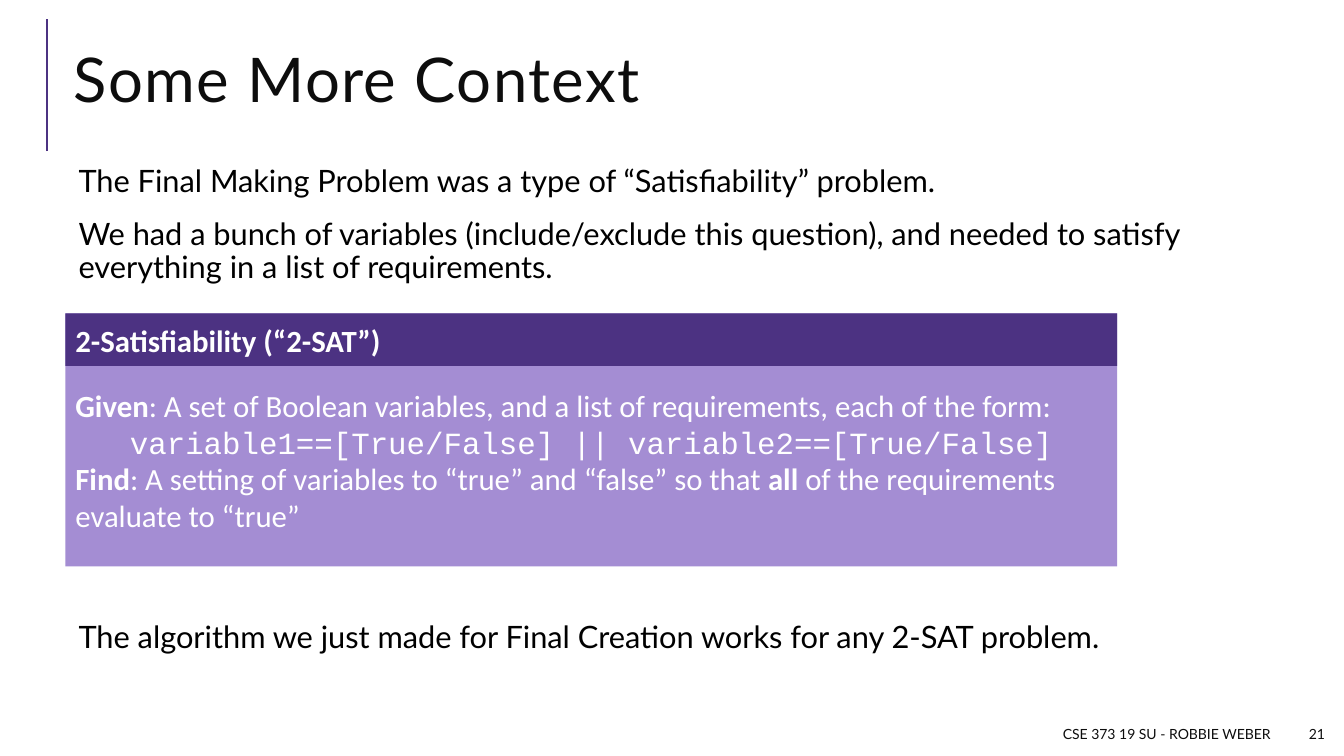
from lxml import etree
from pptx import Presentation
from pptx.dml.color import RGBColor
from pptx.enum.shapes import MSO_CONNECTOR, MSO_SHAPE
from pptx.enum.text import MSO_ANCHOR as Anchor, MSO_AUTO_SIZE as AutoSize, PP_ALIGN as Align
from pptx.oxml.ns import qn
from pptx.util import Inches, Pt

COLORS = {
    "ink": "0D0D0D",
    "body": "000000",
    "deep_purple": "4C3282",
    "light_purple": "A48DD3",
    "white": "FFFFFF",
}


def color(name):
    return RGBColor.from_string(COLORS[name])


def write(frame, paragraphs, size, ink, font="Lato", align=Align.LEFT, anchor=Anchor.MIDDLE,
          margins=(0.1, 0.05, 0.1, 0.05), line_spacing=None, space_before=0, space_after=0,
          tracking=0):
    frame.word_wrap = True
    frame.auto_size = AutoSize.NONE
    frame.vertical_anchor = anchor
    (frame.margin_left, frame.margin_top,
     frame.margin_right, frame.margin_bottom) = map(Inches, margins)
    for index, runs in enumerate(paragraphs):
        paragraph = frame.add_paragraph() if index else frame.paragraphs[0]
        paragraph.alignment = align
        paragraph.line_spacing = line_spacing
        paragraph.space_before = Pt(space_before if index else 0)
        paragraph.space_after = Pt(space_after)
        for text, bold in [(runs, False)] if isinstance(runs, str) else runs:
            run = paragraph.add_run()
            run.text = text
            run.font.name = font
            run.font.size = Pt(size)
            run.font.bold = bold
            run.font.color.rgb = color(ink)
            if tracking:
                run._r.get_or_add_rPr().set("spc", str(tracking * 100))


def add_text(slide, paragraphs, left, top, width, height, **style):
    box = slide.shapes.add_textbox(Inches(left), Inches(top), Inches(width), Inches(height))
    write(box.text_frame, paragraphs, **style)


def add_panel(slide, left, top, width, height, fill):
    panel = slide.shapes.add_shape(MSO_SHAPE.RECTANGLE, Inches(left), Inches(top),
                                   Inches(width), Inches(height))
    panel.shadow.inherit = False
    panel.fill.solid()
    panel.fill.fore_color.rgb = color(fill)
    panel.line.fill.background()
    return panel.text_frame


def add_heading(slide, text, left, top, width, height):
    rule_x = Inches(left - 0.16)
    rule = slide.shapes.add_connector(MSO_CONNECTOR.STRAIGHT, rule_x, Inches(top + 1.21),
                                      rule_x, Inches(top - 0.1))
    rule.line.color.rgb = color("deep_purple")
    rule.line.width = Pt(1.5)
    etree.SubElement(rule._element.spPr, qn("a:effectLst"))
    title = slide.shapes.title
    title.left, title.top = Inches(left), Inches(top)
    title.width, title.height = Inches(width), Inches(height)
    write(title.text_frame, [text], size=44, ink="ink", line_spacing=0.8, tracking=1)


def add_statements(slide, statements, left, top, width, height):
    add_text(slide, statements, left, top, width, height, size=22, ink="body",
             anchor=Anchor.TOP, margins=(0.15, 0.05, 0.05, 0.05), line_spacing=0.9,
             space_before=12, space_after=2)


def add_definition(slide, term, given, form, find, left, top, width, height):
    header_height = 0.52
    definition = add_panel(slide, left, top, width, height, "light_purple")
    write(definition, [given, form, find], size=22, ink="white", font="Calibri",
          margins=(0.1, 0.45, 0.1, 0.05))
    form_line = definition.paragraphs[1]
    form_line.alignment = Align.CENTER
    form_line.runs[0].font.name = "Courier New"
    header = add_panel(slide, left, top, width, header_height, "deep_purple")
    write(header, [[(term, True)]], size=22, ink="white", font="Calibri")


def add_footer(slide, course, number, left, top, width, height):
    number_width = 0.46
    style = dict(size=10, ink="ink", align=Align.RIGHT)
    add_text(slide, [course], left, top, width - number_width - 0.08, height, **style)
    add_text(slide, [number], left + width - number_width, top, number_width, height, **style)


def main():
    deck = Presentation()
    deck.slide_width, deck.slide_height = Inches(13.33), Inches(7.5)
    slide = deck.slides.add_slide(deck.slide_layouts[5])
    add_heading(slide, "Some More Context", 0.63, 0.29, 12.23, 1.11)
    add_statements(slide, [
        "The Final Making Problem was a type of “Satisfiability” problem.",
        "We had a bunch of variables (include/exclude this question), and needed to satisfy "
        "everything in a list of requirements.",
    ], 0.63, 1.6, 12.23, 1.4)
    add_definition(
        slide,
        term="2-Satisfiability (“2-SAT”)",
        given=[("Given", True),
               (": A set of Boolean variables, and a list of requirements, each of the form:",
                False)],
        form="variable1==[True/False] || variable2==[True/False]",
        find=[("Find", True),
              (": A setting of variables to “true” and “false” so that ", False),
              ("all", True),
              (" of the requirements evaluate to “true”", False)],
        left=0.65, top=3.11, width=10.43, height=2.51)
    add_statements(slide, [
        "The algorithm we just made for Final Creation works for any 2-SAT problem.",
    ], 0.63, 6.12, 12.23, 0.5)
    add_footer(slide, "CSE 373 19 SU - ROBBIE WEBER", "21", 6.25, 7.13, 6.99, 0.3)
    deck.save("out.pptx")


if __name__ == "__main__":
    main()
